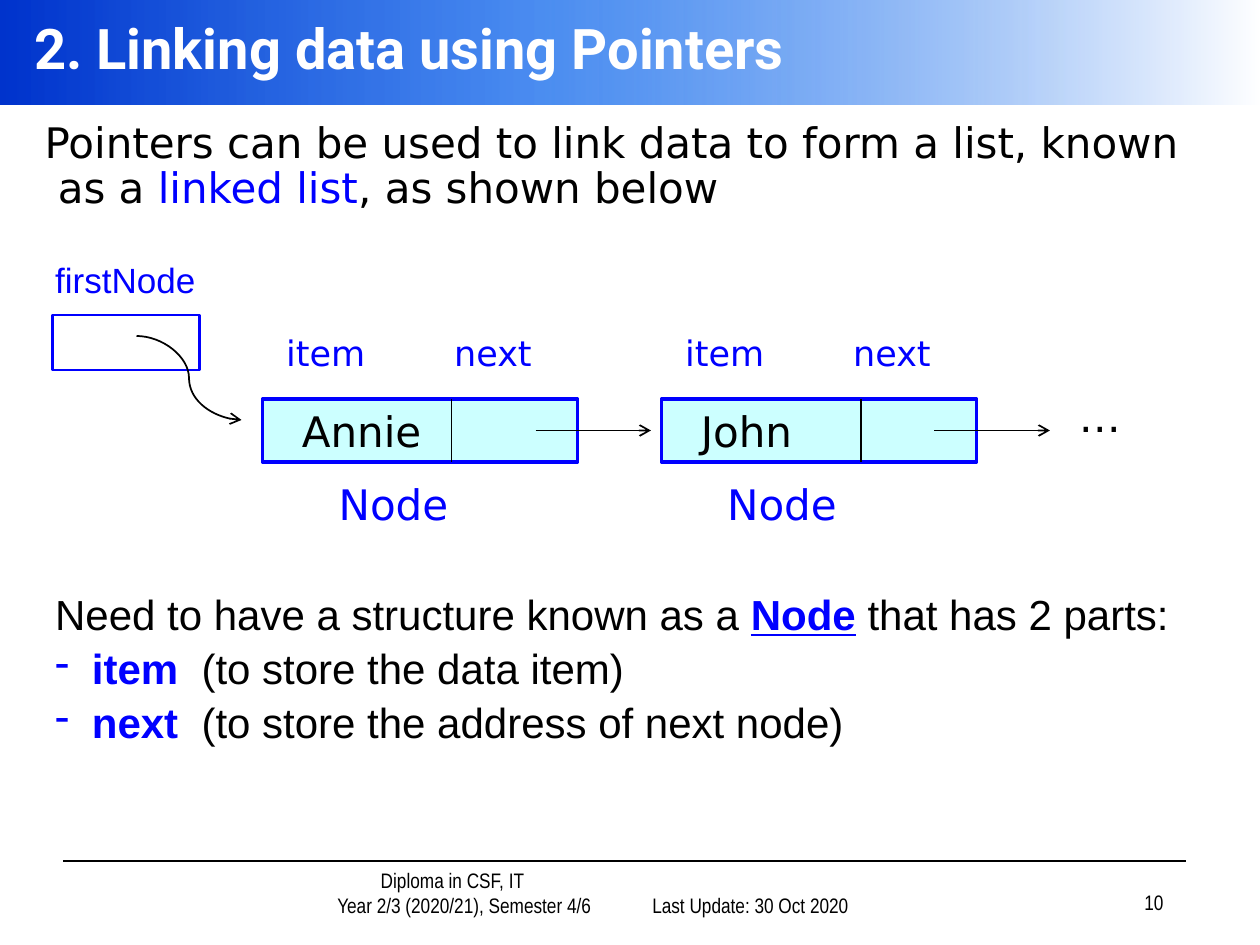
from lxml.etree import SubElement
from pptx import Presentation
from pptx.dml.color import RGBColor
from pptx.enum.shapes import MSO_CONNECTOR, MSO_SHAPE
from pptx.enum.text import MSO_ANCHOR, MSO_AUTO_SIZE, PP_ALIGN
from pptx.oxml import parse_xml
from pptx.oxml.ns import nsdecls, qn
from pptx.util import Pt

PX = 9525
COLORS = {"black": "000000", "white": "FFFFFF", "blue": "0000FF", "cyan": "CCFFFF",
          "navy": "0033CC", "azure": "005EEB"}
RGB = {name: RGBColor.from_string(value) for name, value in COLORS.items()}
SANS = "DejaVu Sans"
NARROW = "Arial Narrow"


def write(sp, paras, size=24, font=SANS, color="black", bold=False, align=PP_ALIGN.LEFT,
          anchor=MSO_ANCHOR.TOP, wrap=True, inset=10, spacing=1.0, before=0, indents=(), bullets=()):
    tf = sp.text_frame
    tf.auto_size = MSO_AUTO_SIZE.NONE
    tf.word_wrap = wrap
    tf.vertical_anchor = anchor
    tf.margin_left = inset * PX
    for i, runs in enumerate([paras] if isinstance(paras, str) else paras):
        p = tf.paragraphs[0] if i == 0 else tf.add_paragraph()
        p.alignment, p.line_spacing, p.space_before = align, spacing, Pt(before)
        left, first = indents[i] if indents else (0, 0)
        pPr = p._p.get_or_add_pPr()
        pPr.set("marL", str(left * PX))
        pPr.set("indent", str(first * PX))
        if i in bullets:
            SubElement(pPr, qn("a:buChar")).set("char", "-")
        else:
            SubElement(pPr, qn("a:buNone"))
        for run in [(runs, {})] if isinstance(runs, str) else runs:
            text, fmt = run
            r = p.add_run()
            r.text = text
            r.font.size, r.font.name = Pt(size), font
            r.font.bold = fmt.get("bold", bold)
            r.font.underline = fmt.get("underline", False)
            r.font.color.rgb = RGB[fmt.get("color", color)]


def connect(x1, y1, x2, y2, kind=MSO_CONNECTOR.STRAIGHT, arrow=False):
    c = s.shapes.add_connector(kind, x1 * PX, y1 * PX, x2 * PX, y2 * PX)
    c.line.color.rgb = RGB["black"]
    c.line.width = Pt(1)
    spPr = c.element.spPr
    if arrow:
        SubElement(spPr.find(qn("a:ln")), qn("a:tailEnd")).set("type", "arrow")
    SubElement(spPr, qn("a:effectLst"))


prs = Presentation()
prs.slide_width, prs.slide_height = 960 * PX, 720 * PX
s = prs.slides.add_slide(prs.slide_layouts[1])
title, body = s.placeholders

header = s.shapes.add_shape(MSO_SHAPE.RECTANGLE, 0, 0, 960 * PX, 80 * PX)
header.shadow.inherit = False
header.line.fill.background()
header.fill.gradient()
header.fill.gradient_angle = 0
stops = header.element.spPr.find(qn("a:gradFill")).find(qn("a:gsLst"))
for stop in list(stops):
    stops.remove(stop)
for pos, color, alpha in [(0, "navy", 100), (43, "azure", 70), (100, "white", 100)]:
    stops.append(parse_xml(
        f'<a:gs {nsdecls("a")} pos="{pos * 1000}"><a:srgbClr val="{COLORS[color]}">'
        f'<a:alpha val="{alpha * 1000}"/></a:srgbClr></a:gs>'))
title.element.addprevious(header.element)

title.left, title.top, title.width, title.height = 16 * PX, 0, 944 * PX, 72 * PX
write(title, "2. Linking data using Pointers", size=32, font="Roboto", color="white", bold=True,
      anchor=MSO_ANCHOR.MIDDLE)

body.left, body.top, body.width, body.height = 24 * PX, 88 * PX, 912 * PX, 88 * PX
write(body, [[("Pointers can be used to link data to form a list, known as a ", {}),
              ("linked list", {"color": "blue"}), (", as shown below", {})]],
      spacing=0.9, before=5, indents=[(10, -10)])

for x, y, w, h, fill, weight, name in [
        (40, 240, 112, 42, None, 1.5, None),
        (200, 304, 240, 48, "cyan", 2, "Annie"),
        (504, 304, 240, 48, "cyan", 2, "John")]:
    box = s.shapes.add_shape(MSO_SHAPE.RECTANGLE, x * PX, y * PX, w * PX, h * PX)
    box.shadow.inherit = False
    box.line.color.rgb = RGB["blue"]
    box.line.width = Pt(weight)
    if fill:
        box.fill.solid()
        box.fill.fore_color.rgb = RGB[fill]
        write(box, name, inset=30)
    else:
        box.fill.background()

for divider, arrow in [(344, 408), (656, 712)]:
    connect(divider, 304, divider, 352)
    connect(arrow, 328, arrow + 88, 328, arrow=True)
connect(104, 256, 184, 320, MSO_CONNECTOR.CURVE, arrow=True)

labels = [("firstNode", 32, 192, 128, 42, {"size": 20, "font": "Arial", "color": "blue"}),
          ("…", 812, 293, 46, 48, {"wrap": False})]
for node_x, label_x in [(200, 248), (504, 544)]:
    labels += [("item", node_x + 8, 248, 128, 42, {"size": 20, "color": "blue"}),
               ("next", node_x + 136, 248, 128, 42, {"size": 20, "color": "blue"}),
               ("Node", label_x, 360, 144, 48, {"color": "blue"})]

key = {"color": "blue", "bold": True}
parts = [[("Need to have a structure known as a ", {}), ("Node", {**key, "underline": True}),
          (" that has 2 parts:", {})],
         [("item  ", key), ("(to store the data item)", {})],
         [("next  ", key), ("(to store the address of next node)", {})]]
labels.append((parts, 32, 448, 888, 152,
               {"font": "Arial", "spacing": 0.9, "before": 5, "bullets": (1, 2),
                "indents": [(0, 0), (28, -28), (28, -28)]}))

footer = {"size": 12, "font": NARROW, "anchor": MSO_ANCHOR.BOTTOM}
labels += [(["Diploma in CSF, IT", "Year 2/3 (2020/21), Semester 4/6"], 161, 664, 319, 40,
            {**footer, "align": PP_ALIGN.CENTER, "indents": [(48, 0), (66, 0)]}),
           ("Last Update: 30 Oct 2020", 456, 664, 200, 40, {**footer, "align": PP_ALIGN.RIGHT}),
           ("10", 696, 662, 200, 40, {**footer, "align": PP_ALIGN.RIGHT})]

for text, x, y, w, h, fmt in labels:
    write(s.shapes.add_textbox(x * PX, y * PX, w * PX, h * PX), text, **fmt)

connect(48, 656, 904, 656)

prs.save("out.pptx")
